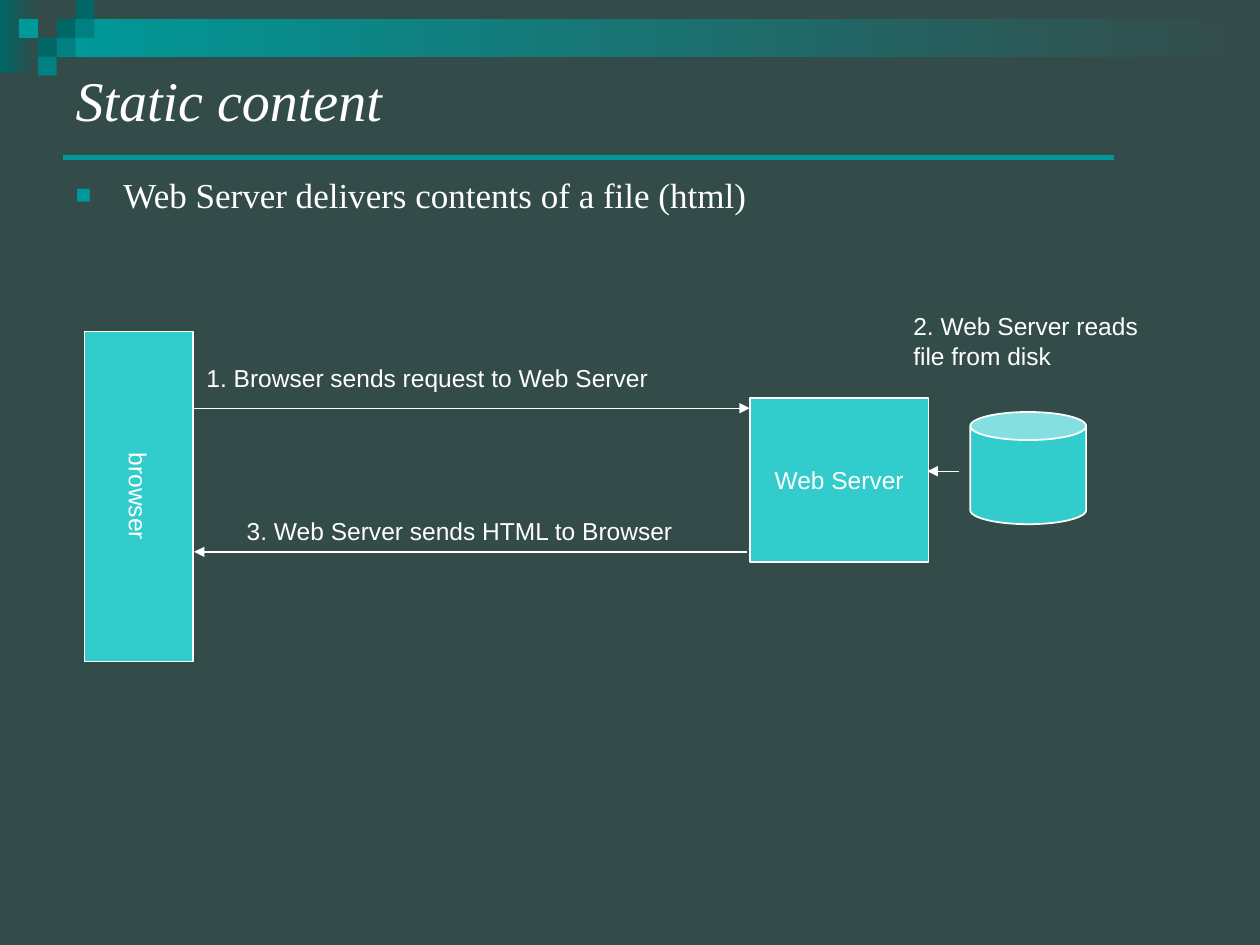
from lxml.etree import SubElement
from pptx import Presentation
from pptx.dml.color import RGBColor
from pptx.enum.shapes import MSO_CONNECTOR, MSO_SHAPE
from pptx.enum.text import MSO_ANCHOR, PP_ALIGN
from pptx.oxml.ns import qn
from pptx.util import Inches, Pt

SLATE = RGBColor(0x33, 0x4B, 0x49)
DARK_TEAL = RGBColor(0x00, 0x66, 0x66)
MID_TEAL = RGBColor(0x00, 0x80, 0x80)
TEAL = RGBColor(0x00, 0x99, 0x99)
AQUA = RGBColor(0x33, 0xCC, 0xCC)
WHITE = RGBColor(0xFF, 0xFF, 0xFF)


def place(shape, box):
    shape.left, shape.top, shape.width, shape.height = map(Inches, box)


def set_font(para, name, size):
    para.font.name = name
    para.font.size = Pt(size)
    para.font.color.rgb = WHITE


def add_block(page, kind, box, color, outline=None):
    block = page.shapes.add_shape(kind, *map(Inches, box))
    block.shadow.inherit = False
    block.fill.solid()
    block.fill.fore_color.rgb = color
    if outline is None:
        block.line.fill.background()
    else:
        block.line.color.rgb = outline
        block.line.width = Pt(1)
    return block


def add_fade(page, box, color):
    fade = add_block(page, MSO_SHAPE.RECTANGLE, box, color)
    fade.fill.gradient()
    fade.fill.gradient_angle = 0
    for stop, stop_color, position in zip(fade.fill.gradient_stops, (color, SLATE), (0, 1)):
        stop.color.rgb = stop_color
        stop.position = position


def add_line(page, start, end, color, width, arrow=False):
    line = page.shapes.add_connector(MSO_CONNECTOR.STRAIGHT, *map(Inches, start + end))
    line.line.color.rgb = color
    line.line.width = Pt(width)
    if arrow:
        SubElement(line.line._get_or_add_ln(), qn("a:tailEnd"), type="triangle")
    SubElement(line._element.spPr, qn("a:effectLst"))


def add_label(page, box, text):
    label = page.shapes.add_textbox(*map(Inches, box))
    label.text_frame.word_wrap = True
    label.text_frame.text = text
    set_font(label.text_frame.paragraphs[0], "Arial", 14)


def add_node(page, box, text, rotation=0):
    node = add_block(page, MSO_SHAPE.RECTANGLE, box, AQUA, WHITE)
    node.rotation = rotation
    frame = node.text_frame
    frame.word_wrap = False
    frame.vertical_anchor = MSO_ANCHOR.MIDDLE
    frame.text = text
    para = frame.paragraphs[0]
    para.alignment = PP_ALIGN.CENTER
    set_font(para, "Arial", 14)


def add_banner(page, left, top, width):
    cell = 0.15
    add_fade(page, (left, top, 0.31, 0.58), DARK_TEAL)
    add_fade(page, (left + 3 * cell, top + cell, width - 3 * cell, 2 * cell), TEAL)
    squares = [(3, 1, DARK_TEAL), (4, 0, DARK_TEAL), (4, 1, MID_TEAL), (2, 2, DARK_TEAL),
               (1, 1, TEAL), (3, 2, MID_TEAL), (2, 3, MID_TEAL)]
    for column, row, color in squares:
        box = (left + column * cell, top + row * cell, cell, cell)
        add_block(page, MSO_SHAPE.RECTANGLE, box, color)


def fill_title(page, box, text):
    title = page.shapes.title
    place(title, box)
    title.text_frame.text = text
    title.text_frame.vertical_anchor = MSO_ANCHOR.MIDDLE
    para = title.text_frame.paragraphs[0]
    para.alignment = PP_ALIGN.LEFT
    set_font(para, "Times New Roman", 32)
    para.font.italic = True


def fill_body(page, box, text):
    body = page.placeholders[1]
    place(body, box)
    body.text_frame.text = text
    para = body.text_frame.paragraphs[0]
    para.space_before = Pt(5)
    set_font(para, "Times New Roman", 20)
    properties = para._p.get_or_add_pPr()
    properties.set("marL", str(Inches(0.38)))
    properties.set("indent", str(-Inches(0.38)))
    bullet_color = SubElement(properties, qn("a:buClr"))
    SubElement(bullet_color, qn("a:srgbClr"), val=str(TEAL))
    SubElement(properties, qn("a:buSzPct"), val="75000")
    SubElement(properties, qn("a:buFont"), typeface="Arial")
    SubElement(properties, qn("a:buChar"), char="■")
    properties.append(properties.find(qn("a:defRPr")))


def add_request_diagram(page, left, top):
    def at(x, y, *size):
        return (left + x, top + y) + size

    arrows = [((0.87, 0.82), (5.28, 0.82)),
              ((5.26, 1.96), (0.87, 1.96)),
              ((6.94, 1.32), (6.69, 1.32))]
    for start, end in arrows:
        add_line(page, at(*start), at(*end), WHITE, 0.75, arrow=True)

    labels = [((0.87, 0.41, 4.07, 0.34), "1. Browser sends request to Web Server"),
              ((1.19, 1.63, 3.65, 0.34), "3. Web Server sends HTML to Browser"),
              ((6.48, 0, 2.05, 0.57), "2. Web Server reads file from disk")]
    for box, text in labels:
        add_label(page, at(*box), text)

    add_node(page, at(-0.88, 1.09, 2.62, 0.86), "browser", rotation=90)
    add_node(page, at(5.28, 0.74, 1.42, 1.3), "Web Server")
    disk = add_block(page, MSO_SHAPE.CAN, at(7.03, 0.85, 0.92, 0.89), AQUA, WHITE)
    disk.adjustments[0] = 0.25


deck = Presentation()
deck.slide_width, deck.slide_height = Inches(10), Inches(7.5)
page = deck.slides.add_slide(deck.slide_layouts[1])
page.background.fill.solid()
page.background.fill.fore_color.rgb = SLATE
add_banner(page, 0, 0, 10)
add_line(page, (0.5, 1.25), (8.84, 1.25), TEAL, 2.75)
fill_title(page, (0.5, 0.25, 9, 1.08), "Static content")
fill_body(page, (0.5, 1.33, 9, 5.58), "Web Server delivers contents of a file (html)")
add_request_diagram(page, 0.67, 2.42)
deck.save("out.pptx")
